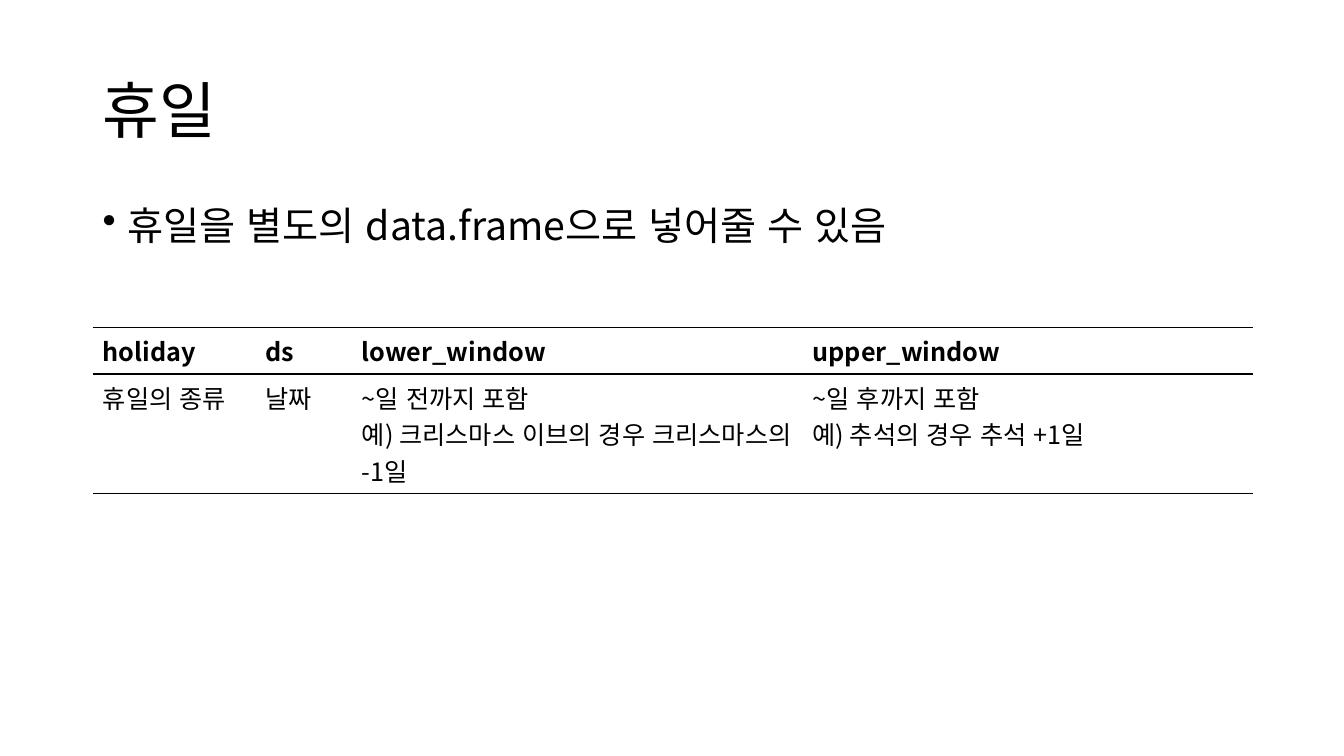
import dataclasses

import lxml.etree
import pptx
import pptx.dml.color
import pptx.enum.lang
import pptx.enum.text
import pptx.oxml.ns
import pptx.util

Inches = pptx.util.Inches
qn = pptx.oxml.ns.qn

FONT = "Noto Sans CJK KR"
BLACK = "000000"
LEFT, WIDTH = 0.92, 11.5
NO_STYLE_NO_GRID = "{2D5ABB26-0587-4C30-8999-92F81FD0307C}"


@dataclasses.dataclass(frozen=True)
class HolidayColumn:
    name: str
    description: str
    width: float


COLUMNS = [
    HolidayColumn("holiday", "휴일의 종류", 1.61),
    HolidayColumn("ds", "날짜", 0.96),
    HolidayColumn("lower_window", "~일 전까지 포함\n예) 크리스마스 이브의 경우 크리스마스의 -1일", 4.47),
    HolidayColumn("upper_window", "~일 후까지 포함\n예) 추석의 경우 추석 +1일", 4.47),
]
ROW_HEIGHTS = [0.46, 1.19]


def color(value: str) -> pptx.dml.color.RGBColor:
    return pptx.dml.color.RGBColor.from_string(value)


def write_text(frame, text: str, *, size: float, bold: bool = False,
               line_spacing: float = 1.0, bullet: str = "") -> None:
    """Write one paragraph for each line of text."""
    for index, line in enumerate(text.split("\n")):
        para = frame.add_paragraph() if index else frame.paragraphs[0]
        para.line_spacing = line_spacing
        if bullet:
            properties = para._p.get_or_add_pPr()
            properties.set("marL", str(Inches(0.25)))
            properties.set("indent", str(Inches(-0.25)))
            lxml.etree.SubElement(properties, qn("a:buChar"), char=bullet)
        span = para.add_run()
        span.text = line
        span.font.size = pptx.util.Pt(size)
        span.font.bold = bold
        span.font.language_id = pptx.enum.lang.MSO_LANGUAGE_ID.KOREAN
        span.font.color.rgb = color(BLACK)
        span.font.name = FONT
        lxml.etree.SubElement(span.font._element, qn("a:ea"), typeface=FONT)


def add_text_box(page, text: str, top: float, height: float, *,
                 anchor=pptx.enum.text.MSO_ANCHOR.TOP, **text_format) -> None:
    box = page.shapes.add_textbox(Inches(LEFT), Inches(top), Inches(WIDTH), Inches(height))
    box.text_frame.word_wrap = True
    box.text_frame.vertical_anchor = anchor
    write_text(box.text_frame, text, **text_format)


def add_border(cell, side: str) -> None:
    properties = cell._tc.get_or_add_tcPr()
    line = lxml.etree.SubElement(properties, qn(f"a:ln{side}"), w=str(pptx.util.Pt(1)))
    fill = lxml.etree.SubElement(line, qn("a:solidFill"))
    lxml.etree.SubElement(fill, qn("a:srgbClr"), val=BLACK)


def add_holiday_table(page) -> None:
    frame = page.shapes.add_table(len(ROW_HEIGHTS), len(COLUMNS), Inches(LEFT), Inches(3.25),
                                  Inches(WIDTH), Inches(sum(ROW_HEIGHTS)))
    table = frame.table
    table.horz_banding = False
    table._tbl.tblPr.find(qn("a:tableStyleId")).text = NO_STYLE_NO_GRID
    for row, height in zip(table.rows, ROW_HEIGHTS):
        row.height = Inches(height)
    for column_index, column in enumerate(COLUMNS):
        table.columns[column_index].width = Inches(column.width)
        for row_index, text in enumerate((column.name, column.description)):
            cell = table.cell(row_index, column_index)
            for side in "B" if row_index else "TB":
                add_border(cell, side)
            cell.fill.background()
            write_text(cell.text_frame, text, size=18, bold=row_index == 0)


def main() -> None:
    deck = pptx.Presentation()
    deck.slide_width, deck.slide_height = Inches(13.33), Inches(7.5)
    page = deck.slides.add_slide(deck.slide_layouts[6])
    add_text_box(page, "휴일", 0.4, 1.45, anchor=pptx.enum.text.MSO_ANCHOR.MIDDLE,
                 size=44, line_spacing=0.9)
    add_text_box(page, "휴일을 별도의 data.frame으로 넣어줄 수 있음", 2, 4.76,
                 size=28, line_spacing=0.9, bullet="•")
    add_holiday_table(page)
    deck.save("out.pptx")


if __name__ == "__main__":
    main()
